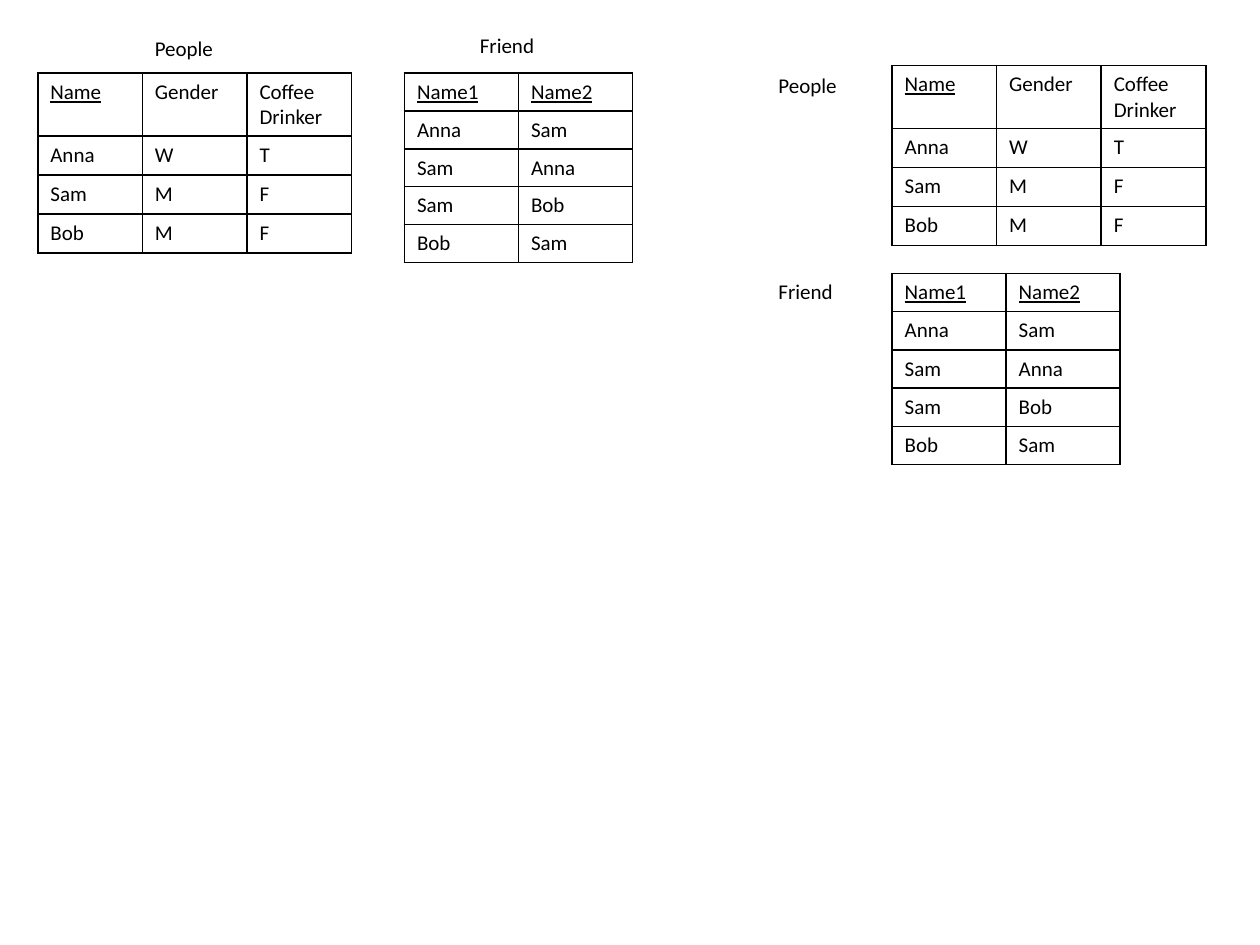
from dataclasses import dataclass

from lxml import etree
from pptx import Presentation
from pptx.dml.color import RGBColor
from pptx.enum.text import MSO_ANCHOR, MSO_AUTO_SIZE
from pptx.oxml.ns import qn
from pptx.util import Inches, Pt

MIDDLE = MSO_ANCHOR.MIDDLE
GROW = MSO_AUTO_SIZE.SHAPE_TO_FIT_TEXT


@dataclass(frozen=True)
class Theme:
    font: str = "Calibri"
    size: int = 12
    ink: str = "000000"
    border: int = 1


THEME = Theme()

deck = Presentation()
deck.slide_width = Inches(10)
deck.slide_height = Inches(7.5)
page = deck.slides.add_slide(deck.slide_layouts[6])

# Square grid of 100 columns by 75 rows
COLUMN = deck.slide_width / 100
ROW = deck.slide_height / 75

PEOPLE = [
    ["Name", "Gender", "Coffee\vDrinker"],
    ["Anna", "W", "T"],
    ["Sam", "M", "F"],
    ["Bob", "M", "F"],
]
FRIEND = [
    ["Name1", "Name2"],
    ["Anna", "Sam"],
    ["Sam", "Anna"],
    ["Sam", "Bob"],
    ["Bob", "Sam"],
]
KEYS = {"Name", "Name1", "Name2"}

# Relation: rows, column width, header height, body row height
RELATIONS = {
    "People": (PEOPLE, 8.3, 5, 3.1),
    "Friend": (FRIEND, 9.05, 3, 3),
}

# Relation, table left and top, label left and top
PLACES = [
    ("Friend", 70.8, 21.7, 60.8, 21.6),
    ("People", 70.8, 5.2, 60.8, 5.3),
    ("Friend", 32.1, 5.8, 37.1, 2.1),
    ("People", 3, 5.8, 11.3, 2.3),
]


def style_text(frame):
    for para in frame.paragraphs:
        for span in para.runs:
            span.font.name = THEME.font
            span.font.size = Pt(THEME.size)
            span.font.color.rgb = RGBColor.from_string(THEME.ink)
            if frame.text in KEYS:
                span.font.underline = True


def outline_cell(cell):
    """Clear the fill and draw a border on all four sides."""
    cell.fill.background()
    properties = cell._tc.get_or_add_tcPr()
    for index, side in enumerate(("lnL", "lnR", "lnT", "lnB")):
        line = etree.Element(qn(f"a:{side}"), w=str(Pt(THEME.border)))
        fill = etree.SubElement(line, qn("a:solidFill"))
        etree.SubElement(fill, qn("a:srgbClr"), val=THEME.ink)
        properties.insert(index, line)


for name, left, top, label_left, label_top in PLACES:
    rows, column_width, header_height, row_height = RELATIONS[name]
    columns = len(rows[0])
    height = header_height + row_height * (len(rows) - 1)
    table = page.shapes.add_table(
        len(rows), columns, int(left * COLUMN), int(top * ROW),
        int(columns * column_width * COLUMN), int(height * ROW),
    ).table
    table.first_row = False
    table.horz_banding = False
    for row_index, values in enumerate(rows):
        row_rows = row_height if row_index else header_height
        table.rows[row_index].height = int(row_rows * ROW)
        for column_index, value in enumerate(values):
            cell = table.cell(row_index, column_index)
            cell.text_frame.text = value
            style_text(cell.text_frame)
            outline_cell(cell)
            if "\v" in value:
                cell.vertical_anchor = MIDDLE

    label = page.shapes.add_textbox(
        int(label_left * COLUMN), int(label_top * ROW), int(7.5 * COLUMN), int(3 * ROW)
    )
    label.text_frame.word_wrap = True
    label.text_frame.auto_size = GROW
    label.text_frame.text = name
    style_text(label.text_frame)

deck.save("out.pptx")
